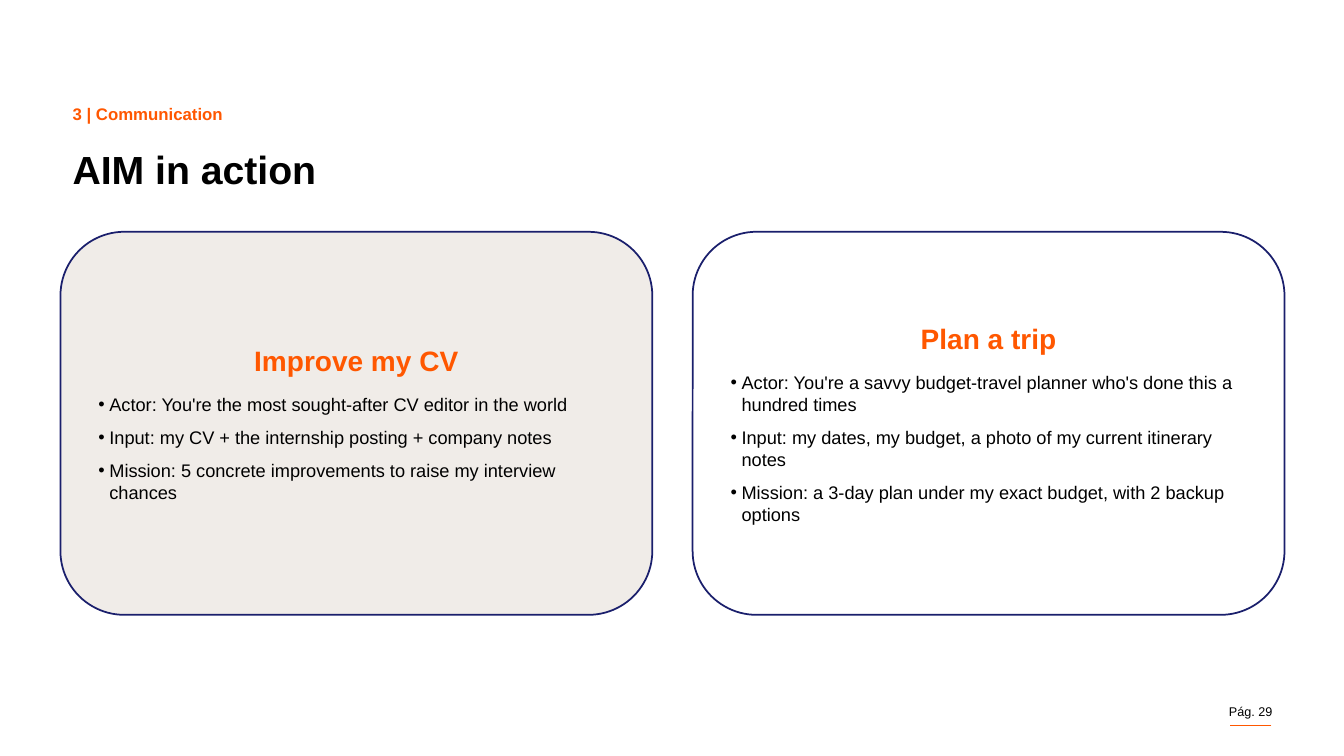
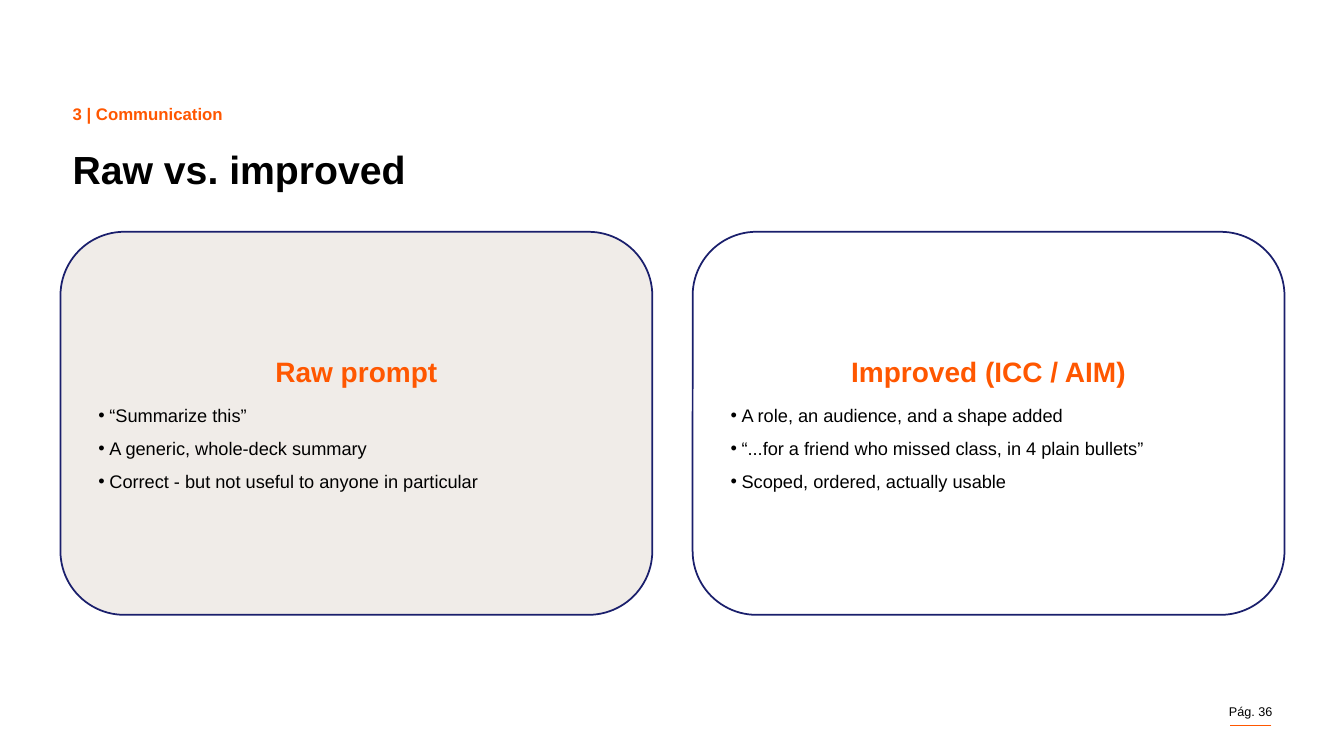
from lxml import etree
from pptx import Presentation
from pptx.dml.color import RGBColor
from pptx.enum.shapes import MSO_CONNECTOR, MSO_SHAPE
from pptx.enum.text import MSO_ANCHOR, PP_ALIGN
from pptx.oxml.ns import qn
from pptx.util import Inches, Pt

STRAIGHT = MSO_CONNECTOR.STRAIGHT
ROUNDED = MSO_SHAPE.ROUNDED_RECTANGLE
TOP, MIDDLE = MSO_ANCHOR.TOP, MSO_ANCHOR.MIDDLE
LEFT, CENTER, RIGHT = PP_ALIGN.LEFT, PP_ALIGN.CENTER, PP_ALIGN.RIGHT

ORANGE, NAVY, BLACK = "FF5700", "1A1F6C", "000000"
SAND, WHITE = "F0ECE8", "FFFFFF"

CARD_LEFT, CARD_TOP = 0.6, 2.3
CARD_WIDTH, CARD_HEIGHT, CARD_GAP = 5.87, 3.8, 0.4
CARD_FILLS = (SAND, WHITE)
BULLET_INDENT = 0.11


def rgb(hex_colour):
    return RGBColor.from_string(hex_colour)


class Deck:
    FONT = "Arial"
    STYLES = {
        "label": {"size": Pt(12), "bold": True, "colour": ORANGE},
        "title": {"size": Pt(28), "bold": True, "colour": BLACK},
        "page": {"size": Pt(9), "bold": False, "colour": BLACK},
        "heading": {"size": Pt(20), "bold": True, "colour": ORANGE},
        "bullet": {"size": Pt(13), "bold": False, "colour": BLACK},
    }
    PARAGRAPHS = {
        "label": {"alignment": LEFT},
        "title": {"alignment": LEFT, "line_spacing": 0.9},
        "page": {"alignment": RIGHT},
        "heading": {"alignment": CENTER, "space_after": Pt(12)},
        "bullet": {"alignment": LEFT, "space_after": Pt(8)},
    }

    def __init__(self):
        self.prs = Presentation()
        self.prs.slide_width = Inches(13.33)
        self.prs.slide_height = Inches(7.5)
        self.s = None

    def add_slide(self, label, title, page):
        self.s = self.prs.slides.add_slide(self.prs.slide_layouts[6])
        self.rule(12.61, 7.2, 12.2, 7.2)
        self.text(f"Pág. {page}", "page", 11.85, 6.98, 0.77, 0.15)
        self.text(title, "title", 0.72, 1.49, 11.89, 0.42)
        self.text(label, "label", 0.72, 1.03, 1.92, 0.22)

    def frame(self, sp, inset, anchor):
        tf = sp.text_frame
        tf.word_wrap = True
        tf.vertical_anchor = anchor
        for side in ("left", "top", "right", "bottom"):
            setattr(tf, f"margin_{side}", Inches(inset))
        return tf

    def fill_paragraph(self, p, text, style):
        for name, value in self.PARAGRAPHS[style].items():
            setattr(p, name, value)
        r = p.add_run()
        r.text = text
        r.font.name = self.FONT
        for name, value in self.STYLES[style].items():
            if name == "colour":
                r.font.color.rgb = rgb(value)
            else:
                setattr(r.font, name, value)

    def text(self, text, style, x, y, w, h):
        sp = self.s.shapes.add_textbox(Inches(x), Inches(y), Inches(w), Inches(h))
        tf = self.frame(sp, 0, TOP)
        self.fill_paragraph(tf.paragraphs[0], text, style)

    def bullet(self, tf, text):
        p = tf.add_paragraph()
        self.fill_paragraph(p, text, "bullet")
        pPr = p._p.get_or_add_pPr()
        pPr.set("marL", str(Inches(BULLET_INDENT)))
        pPr.set("indent", str(-Inches(BULLET_INDENT)))
        etree.SubElement(pPr, qn("a:buFont")).set("typeface", self.FONT)
        etree.SubElement(pPr, qn("a:buChar")).set("char", "•")

    def rule(self, x1, y1, x2, y2):
        line = self.s.shapes.add_connector(
            STRAIGHT, Inches(x1), Inches(y1), Inches(x2), Inches(y2))
        line.line.color.rgb = rgb(ORANGE)
        line.line.width = Pt(0.5)
        etree.SubElement(line._element.spPr, qn("a:effectLst"))

    def card(self, column, heading, bullets):
        x = CARD_LEFT + column * (CARD_WIDTH + CARD_GAP)
        sp = self.s.shapes.add_shape(
            ROUNDED, Inches(x), Inches(CARD_TOP),
            Inches(CARD_WIDTH), Inches(CARD_HEIGHT))
        sp.shadow.inherit = False
        sp.fill.solid()
        sp.fill.fore_color.rgb = rgb(CARD_FILLS[column])
        sp.line.color.rgb = rgb(NAVY)
        sp.line.width = Pt(1.25)
        tf = self.frame(sp, 0.19, MIDDLE)
        self.fill_paragraph(tf.paragraphs[0], heading, "heading")
        for text in bullets:
            self.bullet(tf, text)


SECTION = "3 | Communication"
SLIDES = [
    ("AIM in action", 29, [
        ("Improve my CV", [
            "Actor: You're the most sought-after CV editor in the world",
            "Input: my CV + the internship posting + company notes",
            "Mission: 5 concrete improvements to raise my interview chances",
        ]),
        ("Plan a trip", [
            "Actor: You're a savvy budget-travel planner who's done this a hundred times",
            "Input: my dates, my budget, a photo of my current itinerary notes",
            "Mission: a 3-day plan under my exact budget, with 2 backup options",
        ]),
    ]),
    ("Raw vs. improved", 36, [
        ("Raw prompt", [
            "“Summarize this”",
            "A generic, whole-deck summary",
            "Correct - but not useful to anyone in particular",
        ]),
        ("Improved (ICC / AIM)", [
            "A role, an audience, and a shape added",
            "“...for a friend who missed class, in 4 plain bullets”",
            "Scoped, ordered, actually usable",
        ]),
    ]),
]


def main():
    deck = Deck()
    for title, page, cards in SLIDES:
        deck.add_slide(SECTION, title, page)
        for column, (heading, bullets) in enumerate(cards):
            deck.card(column, heading, bullets)
    deck.prs.save("out.pptx")


if __name__ == "__main__":
    main()
